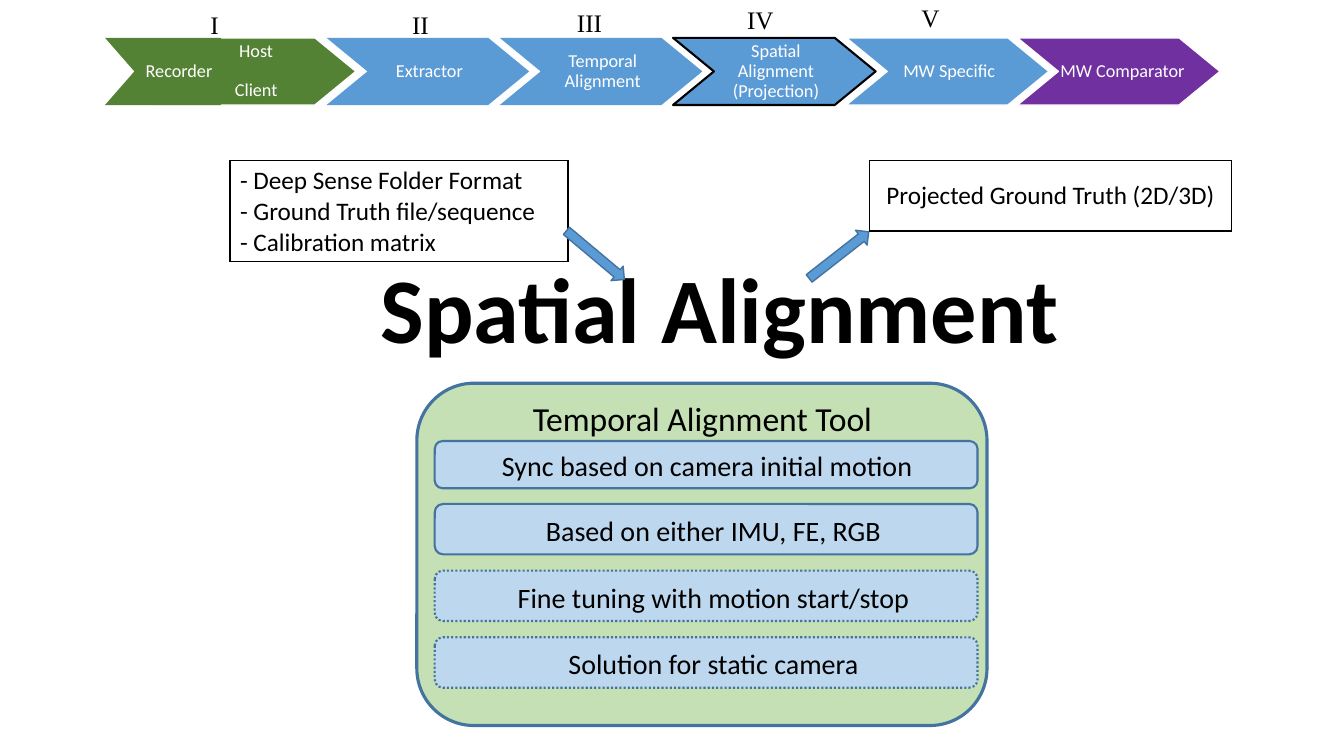
from lxml import etree
from pptx import Presentation
from pptx.dml.color import RGBColor
from pptx.enum.dml import MSO_LINE
from pptx.enum.shapes import MSO_SHAPE
from pptx.enum.text import MSO_ANCHOR, MSO_AUTO_SIZE, PP_ALIGN
from pptx.oxml.ns import qn
from pptx.util import Pt

PX = 9525  # EMU per px, 96 px to the inch
BLACK = RGBColor(0x00, 0x00, 0x00)
WHITE = RGBColor(0xFF, 0xFF, 0xFF)
GREEN = RGBColor(0x54, 0x82, 0x35)
BLUE = RGBColor(0x5B, 0x9B, 0xD5)
PURPLE = RGBColor(0x70, 0x30, 0xA0)
EDGE = RGBColor(0x43, 0x73, 0x9E)
PALE_GREEN = RGBColor(0xC5, 0xE0, 0xB4)
PALE_BLUE = RGBColor(0xBD, 0xD7, 0xEE)

LEFT, CENTER = PP_ALIGN.LEFT, PP_ALIGN.CENTER
MIDDLE = MSO_ANCHOR.MIDDLE
FIT = MSO_AUTO_SIZE.SHAPE_TO_FIT_TEXT
DOTTED = MSO_LINE.ROUND_DOT
ROUNDED, ARROW = MSO_SHAPE.ROUNDED_RECTANGLE, MSO_SHAPE.RIGHT_ARROW

STEP_TOP, STEP_W, STEP_H, STEP_PITCH = 36, 193, 64, 165


def px(*lengths):
    return [round(n * PX) for n in lengths]


def write(tf, text, size=18, font="Calibri", color=BLACK, bold=False,
          align=CENTER, spacing=None, gap=0):
    """Fill a text frame, one paragraph per line, with gap points between."""
    for i, line in enumerate(text.split("\n")):
        p = tf.paragraphs[0] if i == 0 else tf.add_paragraph()
        p.alignment = align
        if spacing:
            p.line_spacing = spacing
        if i and gap:
            p.space_before = Pt(gap)
        r = p.add_run()
        r.text = line
        r.font.size, r.font.name, r.font.bold = Pt(size), font, bold
        r.font.color.rgb = color


def set_insets(tf, left, top, right, bottom):
    tf.margin_left, tf.margin_top, tf.margin_right, tf.margin_bottom = px(
        left, top, right, bottom)


def paint(sp, fill, line=None, width=1, dash=None):
    sp.shadow.inherit = False
    sp.fill.solid()
    sp.fill.fore_color.rgb = fill
    if line is None:
        sp.line.fill.background()
        return
    sp.line.color.rgb = line
    sp.line.width = Pt(width)
    if dash:
        sp.line.dash_style = dash


def add_step(slide, x, text, fill, line=None, width=1, w=STEP_W, notch=39, gap=0):
    top, mid, bottom = STEP_TOP, STEP_TOP + STEP_H // 2, STEP_TOP + STEP_H
    outline = slide.shapes.build_freeform(x, top, scale=PX)
    outline.add_line_segments([
        (x + w - notch, top), (x + w, mid), (x + w - notch, bottom),
        (x, bottom), (x + notch, mid)])
    sp = outline.convert_to_shape()
    paint(sp, fill, line, width)
    tf = sp.text_frame
    tf.word_wrap = True
    tf.vertical_anchor = MIDDLE
    set_insets(tf, 37, 2, 34, 2)
    write(tf, text, size=13, color=WHITE, spacing=0.9, gap=gap)


def add_label(slide, x, y, w, h, text, **fmt):
    tf = slide.shapes.add_textbox(*px(x, y, w, h)).text_frame
    tf.word_wrap = False
    tf.auto_size = FIT
    write(tf, text, **fmt)


def add_shape(slide, kind, x, y, w, h, fill, **line):
    sp = slide.shapes.add_shape(kind, *px(x, y, w, h))
    paint(sp, fill, EDGE, **line)
    return sp


def add_bar(slide, y, h, text, left_inset, dash=None):
    sp = add_shape(slide, ROUNDED, 414, y, 517, h, PALE_BLUE, width=1.5, dash=dash)
    tf = sp.text_frame
    tf.word_wrap = True
    tf.vertical_anchor = MIDDLE
    set_insets(tf, left_inset, 5, 10, 3)
    write(tf, text, size=20)


def add_boxed_table(slide, x, y, w, h, text, align):
    """Add a one-cell table with a thin black border."""
    table = slide.shapes.add_table(1, 1, *px(x, y, w, h)).table
    table.first_row = table.horz_banding = False
    cell = table.cell(0, 0)
    cell.vertical_anchor = MIDDLE
    write(cell.text_frame, text, align=align)
    tc_pr = cell._tc.get_or_add_tcPr()
    for side in ("a:lnL", "a:lnR", "a:lnT", "a:lnB"):
        ln = etree.SubElement(tc_pr, qn(side), w=str(Pt(1)))
        solid = etree.SubElement(ln, qn("a:solidFill"))
        etree.SubElement(solid, qn("a:srgbClr"), val=str(BLACK))
    cell.fill.background()


def main():
    prs = Presentation()
    prs.slide_width, prs.slide_height = px(1280, 720)
    slide = prs.slides.add_slide(prs.slide_layouts[6])

    steps = [
        ("Host\nClient", GREEN, WHITE, 1),
        ("Extractor", BLUE, None, 1),
        ("Temporal Alignment", BLUE, None, 1),
        ("Spatial Alignment (Projection)", BLUE, BLACK, 1.5),
        ("MW Specific", BLUE, WHITE, 1),
    ]
    for i, (text, fill, line, width) in enumerate(steps):
        add_step(slide, 146 + i * STEP_PITCH, text, fill, line, width, gap=14)
    add_step(slide, 100, "Recorder", GREEN, w=138, notch=28)
    add_step(slide, 969, " MW Comparator", PURPLE, WHITE)

    numerals = [("I", 191, 4, 28), ("II", 383, 4, 36), ("III", 540, 2, 46),
                ("IV", 702, -1, 46), ("V", 868, -3, 36)]
    for text, x, y, w in numerals:
        add_label(slide, x, y, w, 38, text, font="Times New Roman", align=LEFT)

    add_label(slide, 349, 234, 673, 116, "Spatial Alignment", size=66, bold=True)
    add_boxed_table(slide, 219, 153, 322, 96,
                    "- Deep Sense Folder Format\n- Ground Truth file/sequence\n"
                    "- Calibration matrix", LEFT)
    add_boxed_table(slide, 828, 153, 345, 67,
                    "Projected Ground Truth (2D/3D)", CENTER)
    for x, angle in ((531, 40), (763, 322)):
        add_shape(slide, ARROW, x, 234, 72, 18, BLUE).rotation = angle

    add_shape(slide, ROUNDED, 397, 365, 543, 326, PALE_GREEN, width=2.25)
    add_label(slide, 496, 374, 346, 48, "Temporal Alignment Tool", size=24)
    add_bar(slide, 420, 45, "Sync based on camera initial motion", 12)
    bars = [("Based on either IMU, FE, RGB", None),
            ("Fine tuning with motion start/stop", DOTTED),
            ("Solution for static camera", DOTTED)]
    for i, (text, dash) in enumerate(bars):
        add_bar(slide, 480 + i * 63.5, 48, text, 24, dash)

    prs.save("out.pptx")


if __name__ == "__main__":
    main()
